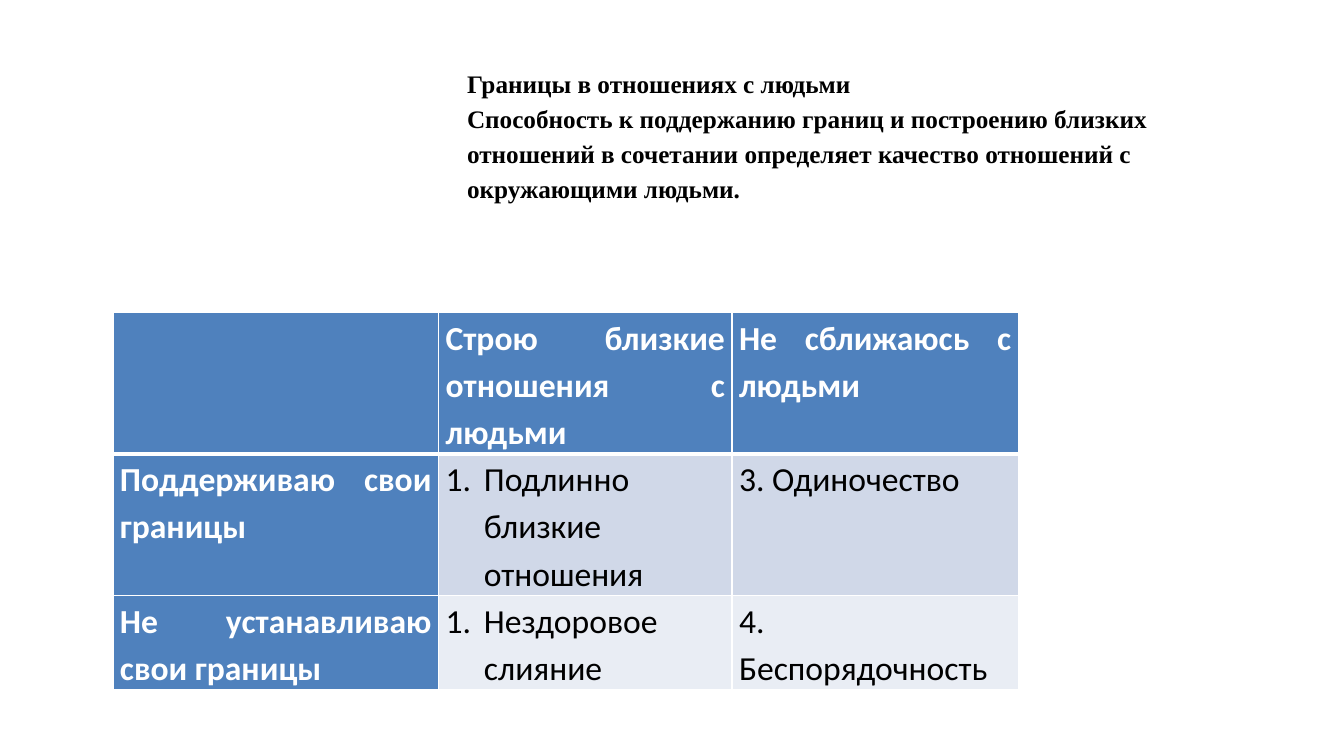
from dataclasses import dataclass

from lxml.etree import SubElement
from pptx import Presentation
from pptx.dml.color import RGBColor
from pptx.enum.text import MSO_ANCHOR as Anchor, MSO_AUTO_SIZE as AutoSize, PP_ALIGN as Align
from pptx.oxml import parse_xml
from pptx.oxml.ns import nsdecls, qn
from pptx.util import Emu, Inches, Pt


@dataclass(frozen=True)
class Theme:
    header: str = "4F81BD"
    bands: tuple = ("D0D8E8", "E9EDF4")
    light: str = "FFFFFF"
    dark: str = "000000"
    title_font: str = "Times New Roman"
    table_font: str = "Calibri"
    title_size: int = 18
    table_size: int = 24
    line_spacing: float = 1.15
    space_after: int = 10
    thin_border: int = 1
    thick_border: int = 3


THEME = Theme()

TITLE = (
    "Границы в отношениях с людьми\v"
    "Способность к поддержанию границ и построению близких отношений "
    "в сочетании определяет качество отношений с окружающими людьми."
)
COLUMN_WIDTHS = (3.23, 2.91, 2.84)
ROW_HEIGHTS = (1.25, 1.25, 0.6)
ROWS = (
    ("", "Строю близкие отношения с людьми", "Не сближаюсь с людьми"),
    ("Поддерживаю свои границы", "Подлинно близкие отношения", "3. Одиночество"),
    ("Не устанавливаю свои границы", "Нездоровое слияние", "4. Беспорядочность"),
)
NUMBERED_COLUMN = 1


def add_number(paragraph, color):
    """Give the paragraph an automatic number with a hanging indent."""
    properties = paragraph._p.get_or_add_pPr()
    indent = Inches(0.38)
    properties.set("marL", str(indent))
    properties.set("indent", str(-indent))
    bullet_color = SubElement(properties, qn("a:buClr"))
    SubElement(bullet_color, qn("a:srgbClr"), val=color)
    SubElement(properties, qn("a:buFont"), typeface="+mj-lt")
    SubElement(properties, qn("a:buAutoNum"), type="arabicPeriod")


def write_text(frame, text, *, font, size, color, bold=False, align=Align.LEFT, numbered=False):
    frame.text = text
    paragraph = frame.paragraphs[0]
    if numbered:
        add_number(paragraph, color)
    paragraph.alignment = align
    paragraph.line_spacing = THEME.line_spacing
    paragraph.space_after = Pt(THEME.space_after)
    for run in paragraph.runs:
        run.font.name = font
        run.font.size = Pt(size)
        run.font.bold = bold
        run.font.color.rgb = RGBColor.from_string(color)


def set_borders(cell, top, bottom):
    """Draw the four cell borders; the side borders are thin."""
    widths = {"L": THEME.thin_border, "R": THEME.thin_border, "T": top, "B": bottom}
    properties = cell._tc.get_or_add_tcPr()
    for index, (side, width) in enumerate(widths.items()):
        properties.insert(index, parse_xml(
            f'<a:ln{side} {nsdecls("a")} w="{Pt(width)}"><a:solidFill>'
            f'<a:srgbClr val="{THEME.light}"/></a:solidFill></a:ln{side}>'))


def format_title(presentation, slide):
    title = slide.shapes.title
    width, height = presentation.slide_width, presentation.slide_height
    title.left, title.top = Emu(int(width * 0.34)), Emu(int(height * 0.04))
    title.width, title.height = Emu(int(width * 0.54)), Emu(int(height * 0.32))
    frame = title.text_frame
    frame.word_wrap = True
    frame.auto_size = AutoSize.NONE
    frame.vertical_anchor = Anchor.MIDDLE
    frame.margin_bottom = Inches(0.4)
    write_text(frame, TITLE, font=THEME.title_font, size=THEME.title_size,
               color=THEME.dark, bold=True)


def format_cell(cell, text, row, column):
    is_header = row == 0 or column == 0
    cell.fill.solid()
    fill = THEME.header if is_header else THEME.bands[row - 1]
    cell.fill.fore_color.rgb = RGBColor.from_string(fill)
    set_borders(cell,
                top=THEME.thick_border if row == 1 else THEME.thin_border,
                bottom=THEME.thick_border if row == 0 else THEME.thin_border)
    cell.margin_left = cell.margin_right = Inches(0.07)
    cell.margin_top = cell.margin_bottom = 0
    if text:
        write_text(cell.text_frame, text, font=THEME.table_font, size=THEME.table_size,
                   color=THEME.light if is_header else THEME.dark, bold=is_header,
                   align=Align.JUSTIFY,
                   numbered=column == NUMBERED_COLUMN and not is_header)


def add_boundary_table(slide):
    table = slide.shapes.add_table(
        len(ROWS), len(COLUMN_WIDTHS), Inches(1.12), Inches(3.1),
        Inches(sum(COLUMN_WIDTHS)), Inches(sum(ROW_HEIGHTS))).table
    table.horz_banding = False
    for column, width in zip(table.columns, COLUMN_WIDTHS):
        column.width = Inches(width)
    for row, height in zip(table.rows, ROW_HEIGHTS):
        row.height = Inches(height)
    for row, texts in enumerate(ROWS):
        for column, text in enumerate(texts):
            format_cell(table.cell(row, column), text, row, column)


def main():
    presentation = Presentation()
    presentation.slide_width, presentation.slide_height = Inches(13.33), Inches(7.5)
    title_only = presentation.slide_layouts[5]
    slide = presentation.slides.add_slide(title_only)

    # Heading
    format_title(presentation, slide)
    # Matrix of boundaries and closeness
    add_boundary_table(slide)

    presentation.save("out.pptx")


if __name__ == "__main__":
    main()
